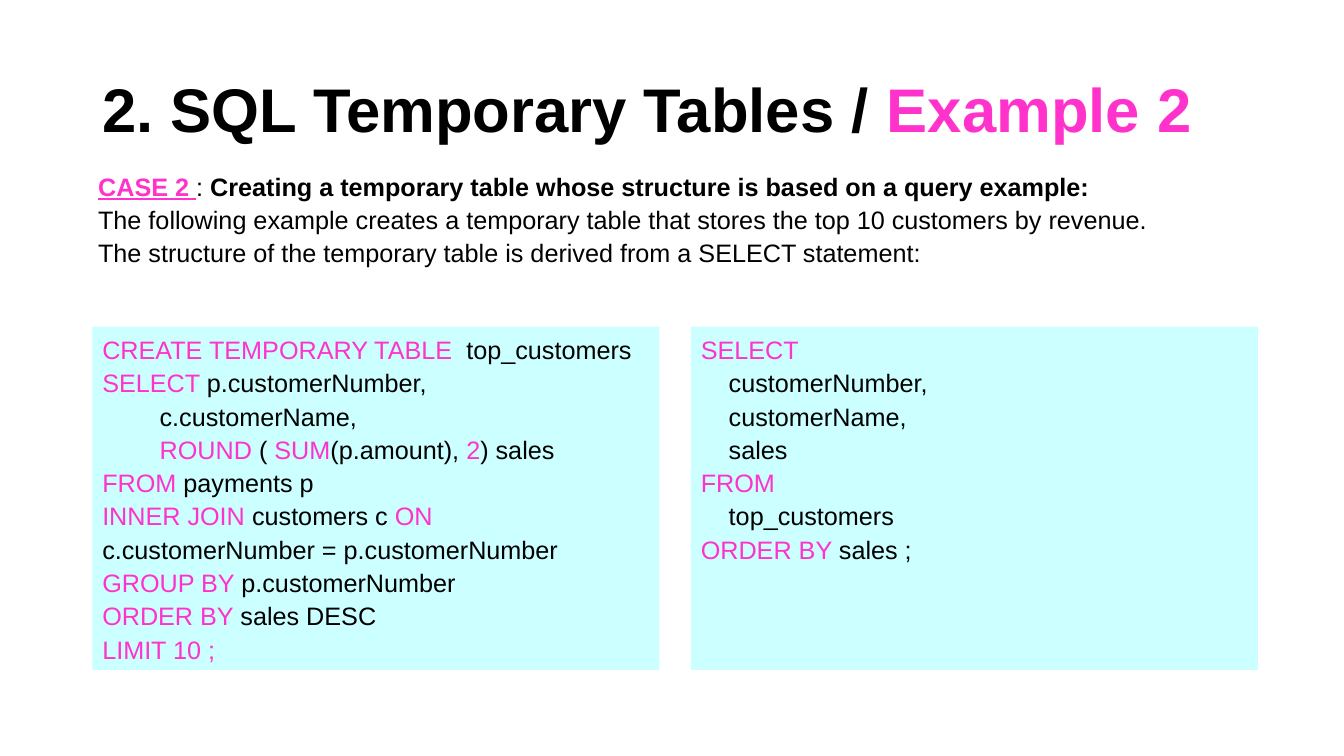
from pptx import Presentation
from pptx.dml.color import RGBColor
from pptx.enum.shapes import MSO_SHAPE
from pptx.enum.text import MSO_ANCHOR, PP_ALIGN
from pptx.util import Pt

PX = 9525  # EMU in one px, 96 px to the inch
BLACK = RGBColor(0x00, 0x00, 0x00)
PINK = RGBColor(0xFF, 0x33, 0xCC)
CYAN = RGBColor(0xCC, 0xFF, 0xFF)
FONT = "Arial"

# Text between bars is pink
TITLE = "2. SQL Temporary Tables / |Example 2|"
INTRO = [
    "|CASE 2 |: ",
    "The following example creates a temporary table that stores "
    "the top 10 customers by revenue.",
    "The structure of the temporary table is derived from a SELECT statement:",
]
CASE_NAME = "Creating a temporary table whose structure is based on a query example:"
CREATE_CODE = [
    "|CREATE TEMPORARY TABLE  |top_customers",
    "|SELECT |p.customerNumber,",
    "       \t c.customerName,",
    "|       \t ROUND |( |SUM|(p.amount), |2|) sales",
    "|FROM |payments p",
    "|INNER JOIN |customers c| ON |c.customerNumber = p.customerNumber",
    "|GROUP BY |p.customerNumber",
    "|ORDER BY |sales DESC",
    "|LIMIT 10 ;|",
]
SELECT_CODE = [
    "|SELECT|",
    "    customerNumber,",
    "    customerName,",
    "    sales",
    "|FROM|",
    "    top_customers",
    "|ORDER BY |sales ;",
]


def add_span(para, text, color, size, bold=False):
    span = para.add_run()
    span.text = text
    span.font.name = FONT
    span.font.size = Pt(size)
    span.font.bold = bold
    span.font.color.rgb = color
    return span


def write_lines(frame, lines, size=18, spacing=1.1, bold=False):
    frame.word_wrap = True
    for number, line in enumerate(lines):
        para = frame.add_paragraph() if number else frame.paragraphs[0]
        para.alignment = PP_ALIGN.LEFT
        para.line_spacing = spacing
        for index, text in enumerate(line.split("|")):
            if text:
                add_span(para, text, PINK if index % 2 else BLACK, size, bold)


def add_text_box(page, left, top, width, height):
    box = page.shapes.add_textbox(left * PX, top * PX, width * PX, height * PX)
    box.text_frame.vertical_anchor = MSO_ANCHOR.MIDDLE
    return box.text_frame


def add_title(page, left, top, width, height):
    frame = add_text_box(page, left, top, width, height)
    write_lines(frame, [TITLE], size=44, spacing=0.9, bold=True)


def add_intro(page, left, top, width, height):
    frame = add_text_box(page, left, top, width, height)
    write_lines(frame, INTRO)
    heading = frame.paragraphs[0]
    label = heading.runs[0]
    label.font.bold = True
    label.font.underline = True
    add_span(heading, CASE_NAME, BLACK, 18, bold=True)


def add_code_panel(page, left, top, width, height, code):
    panel = page.shapes.add_shape(
        MSO_SHAPE.RECTANGLE, left * PX, top * PX, width * PX, height * PX)
    panel.shadow.inherit = False
    panel.fill.solid()
    panel.fill.fore_color.rgb = CYAN
    panel.line.fill.background()
    panel.text_frame.vertical_anchor = MSO_ANCHOR.TOP
    write_lines(panel.text_frame, code)


def add_code_panels(page, left, top, width, height, gap=30):
    panel_width = (width - gap) // 2
    for column, code in enumerate([CREATE_CODE, SELECT_CODE]):
        panel_left = left + column * (panel_width + gap)
        add_code_panel(page, panel_left, top, panel_width, height, code)


def main():
    deck = Presentation()
    deck.slide_width = 1280 * PX
    deck.slide_height = 720 * PX
    page = deck.slides.add_slide(deck.slide_layouts[6])

    add_title(page, 88, 38, 1104, 139)
    add_code_panels(page, 88, 311, 1110, 327)
    add_intro(page, 84, 156, 1110, 103)

    deck.save("out.pptx")


if __name__ == "__main__":
    main()
